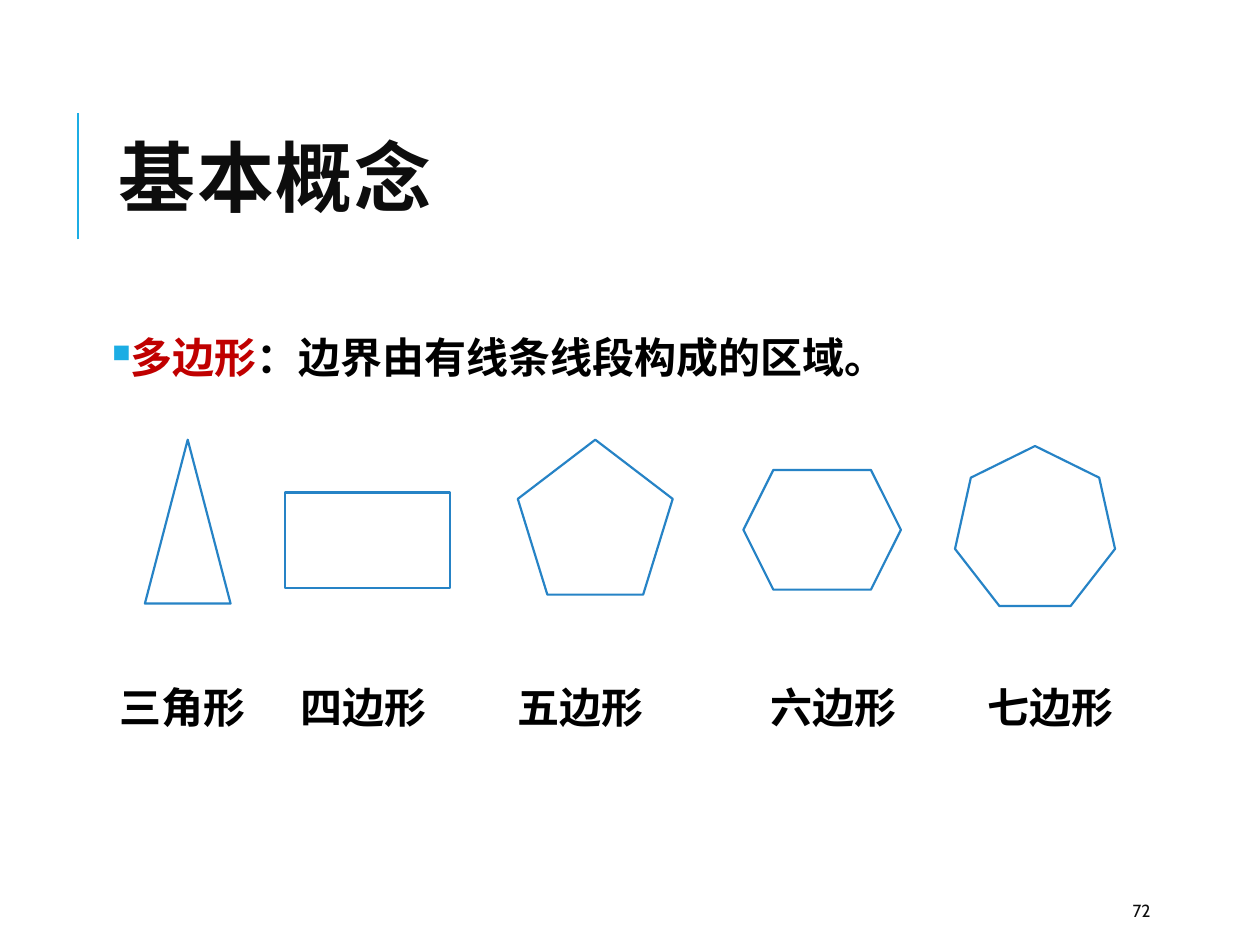
from dataclasses import dataclass

from lxml import etree
from pptx import Presentation
from pptx import util as u
from pptx.dml import color
from pptx.enum import shapes, text
from pptx.oxml import ns

CYAN = color.RGBColor(0x1C, 0xAD, 0xE4)
BLUE = color.RGBColor(0x26, 0x83, 0xC6)
RED = color.RGBColor(0xC0, 0x00, 0x00)
INK = color.RGBColor(0x0D, 0x0D, 0x0D)
BLACK = color.RGBColor(0x00, 0x00, 0x00)
WHITE = color.RGBColor(0xFF, 0xFF, 0xFF)

LABEL_TOP = 5.36
LABEL_HEIGHT = 0.5


@dataclass(frozen=True)
class Polygon:
    name: str
    kind: shapes.MSO_SHAPE
    bounds: tuple[float, float, float, float]
    label_left: float
    label_width: float = 1.32


POLYGONS = (
    Polygon("三角形", shapes.MSO_SHAPE.ISOSCELES_TRIANGLE, (1.15, 3.49, 0.68, 1.3), 0.85, 1.45),
    Polygon("四边形", shapes.MSO_SHAPE.RECTANGLE, (2.26, 3.91, 1.31, 0.76), 2.29),
    Polygon("五边形", shapes.MSO_SHAPE.REGULAR_PENTAGON, (4.11, 3.49, 1.23, 1.23), 4.01),
    Polygon("六边形", shapes.MSO_SHAPE.HEXAGON, (5.9, 3.73, 1.25, 0.95), 6.02),
    Polygon("七边形", shapes.MSO_SHAPE.HEPTAGON, (7.58, 3.54, 1.27, 1.27), 7.74),
)


def set_attributes(target, values: dict) -> None:
    for name, value in values.items():
        setattr(target, name, value)


def add_span(para, wording: str, font: str, size: float, ink: color.RGBColor, bold: bool = True):
    span = para.add_run()
    span.text = wording
    set_attributes(span.font, {"name": font, "size": u.Pt(size), "bold": bold})
    span.font.color.rgb = ink
    return span


def add_box(page, bounds: tuple[float, float, float, float], **frame_values):
    box = page.shapes.add_textbox(*map(u.Inches, bounds))
    set_attributes(box.text_frame, {"word_wrap": True, **frame_values})
    return box.text_frame.paragraphs[0]


def add_accent_line(page) -> None:
    line = page.shapes.add_connector(
        shapes.MSO_CONNECTOR.STRAIGHT, *map(u.Inches, (0.62, 1.9, 0.62, 0.9))
    )
    line.line.color.rgb = CYAN
    line.line.width = u.Pt(1.5)
    etree.SubElement(line._element.spPr, ns.qn("a:effectLst"))


def format_title(page) -> None:
    title = page.shapes.title
    bounds = map(u.Inches, (0.84, 0.64, 7.97, 1.64))
    set_attributes(title, dict(zip(("left", "top", "width", "height"), bounds)))
    set_attributes(title.text_frame, {
        "vertical_anchor": text.MSO_ANCHOR.MIDDLE,
        "auto_size": text.MSO_AUTO_SIZE.NONE,
        "word_wrap": True,
    })
    para = title.text_frame.paragraphs[0]
    set_attributes(para, {"alignment": text.PP_ALIGN.LEFT, "line_spacing": 0.8})
    span = add_span(para, "基本概念", "Cabin", 44, INK)
    span._r.get_or_add_rPr().set("spc", "100")


def add_bullet(para) -> None:
    properties = para._p.get_or_add_pPr()
    indent = u.Inches(0.1)
    properties.set("marL", str(indent))
    properties.set("indent", str(-indent))
    bullet_color = etree.SubElement(properties, ns.qn("a:buClr"))
    etree.SubElement(bullet_color, ns.qn("a:srgbClr"), val=str(CYAN))
    etree.SubElement(properties, ns.qn("a:buSzPct"), val="60000")
    etree.SubElement(properties, ns.qn("a:buChar"), char="■")


def add_definition(page) -> None:
    margins = {f"margin_{side}": u.Inches(0.05) for side in ("left", "top", "right", "bottom")}
    para = add_box(page, (0.84, 2.5, 7.97, 0.59), **margins)
    set_attributes(para, {
        "line_spacing": 1.2, "space_before": u.Pt(18), "space_after": u.Pt(2),
    })
    add_bullet(para)
    add_span(para, "多边形", "Times New Roman", 24, RED)
    add_span(para, "：边界由有线条线段构成的区域。", "Times New Roman", 24, BLACK)


def add_polygon(page, polygon: Polygon) -> None:
    shape = page.shapes.add_shape(polygon.kind, *map(u.Inches, polygon.bounds))
    shape.shadow.inherit = False
    shape.fill.solid()
    shape.fill.fore_color.rgb = WHITE
    shape.line.color.rgb = BLUE
    shape.line.width = u.Pt(1.25)
    para = add_box(
        page,
        (polygon.label_left, LABEL_TOP, polygon.label_width, LABEL_HEIGHT),
        auto_size=text.MSO_AUTO_SIZE.SHAPE_TO_FIT_TEXT,
    )
    add_span(para, polygon.name, "Calibri", 24, BLACK)


def add_page_number(page) -> None:
    para = add_box(page, (8.89, 7.08, 0.8, 0.3), vertical_anchor=text.MSO_ANCHOR.MIDDLE)
    add_span(para, "72", "Cabin", 10, INK, bold=False)


def main() -> None:
    deck = Presentation()
    set_attributes(deck, {"slide_width": u.Inches(10), "slide_height": u.Inches(7.5)})
    page = deck.slides.add_slide(deck.slide_layouts.get_by_name("Title Only"))
    add_accent_line(page)
    format_title(page)
    add_definition(page)
    for polygon in POLYGONS:
        add_polygon(page, polygon)
    add_page_number(page)
    deck.save("out.pptx")


main()
